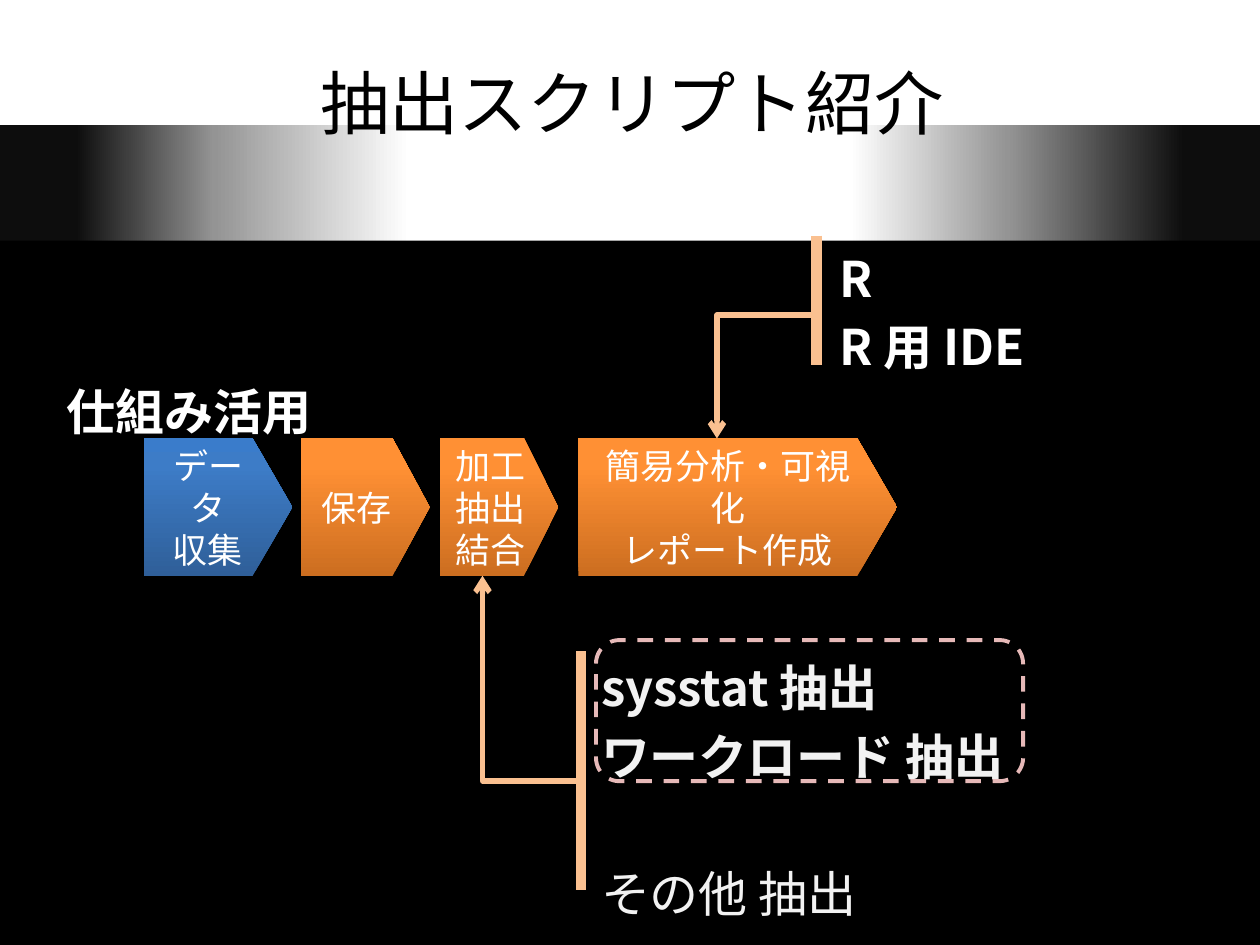
import pptx
import pptx.dml.color
import pptx.enum.dml
import pptx.enum.shapes
import pptx.enum.text
import pptx.oxml
import pptx.oxml.ns
import pptx.util

Inches = pptx.util.Inches
Pt = pptx.util.Pt
RGBColor = pptx.dml.color.RGBColor
SHAPES = pptx.enum.shapes.MSO_SHAPE
CONNECTORS = pptx.enum.shapes.MSO_CONNECTOR
ALIGN = pptx.enum.text.PP_ALIGN
ANCHOR = pptx.enum.text.MSO_ANCHOR

FONT = "Noto Sans CJK JP"
BLACK = RGBColor(0x00, 0x00, 0x00)
WHITE = RGBColor(0xFF, 0xFF, 0xFF)
PALE_GREY = RGBColor(0xF2, 0xF2, 0xF2)
MID_GREY = RGBColor(0x94, 0x94, 0x94)
DARK_GREY = RGBColor(0x0D, 0x0D, 0x0D)
PEACH = RGBColor(0xFA, 0xC0, 0x90)
PINK = RGBColor(0xE6, 0xB9, 0xB8)

# Gradient stops: (percent, colour)
BAND = [(6, DARK_GREY), (17, MID_GREY), (32.5, WHITE),
        (67.5, WHITE), (80, MID_GREY), (94, DARK_GREY)]
BLUE = [(0, RGBColor(0x2F, 0x5F, 0x99)), (80, RGBColor(0x3D, 0x7C, 0xC7)),
        (100, RGBColor(0x3A, 0x7C, 0xCB))]
ORANGE = [(0, RGBColor(0xCC, 0x6E, 0x20)), (80, RGBColor(0xFF, 0x90, 0x34)),
          (100, RGBColor(0xFF, 0x91, 0x36))]

HEADING = {"size": Pt(28), "bold": True, "color": WHITE}
STEP_TEXT = {"size": Pt(20), "color": WHITE}
LINE_GAP = Pt(5.6)
STEP_TOP, STEP_HEIGHT = 3.48, 1.09


def make_element(xml):
    namespace = pptx.oxml.ns.nsdecls("a")
    return pptx.oxml.parse_xml(xml.replace(">", f" {namespace}>", 1))


def format_paragraph(para, text, values):
    span = para.add_run()
    span.text = text
    span.font.name = FONT
    for name, value in values.items():
        if name == "color":
            span.font.color.rgb = value
        else:
            setattr(span.font, name, value)
    # East Asian glyphs take the same font
    properties = span._r.get_or_add_rPr()
    properties.append(make_element(f'<a:ea typeface="{FONT}"></a:ea>'))


def write_lines(frame, lines, values, align=ALIGN.LEFT, gap=None):
    frame.word_wrap = True
    for index, text in enumerate(lines):
        para = frame.add_paragraph() if index else frame.paragraphs[0]
        para.alignment = align
        if index and gap is not None:
            para.space_before = gap
        format_paragraph(para, text, values)


def add_text(slide, place, lines, values, inset=0.1):
    box = slide.shapes.add_textbox(*map(Inches, place))
    box.text_frame.margin_left = Inches(inset)
    write_lines(box.text_frame, lines, values, gap=LINE_GAP)
    return box


def add_plain_shape(slide, kind, place):
    shape = slide.shapes.add_shape(kind, *map(Inches, place))
    shape.shadow.inherit = False
    shape.line.fill.background()
    return shape


def fill_gradient(shape, stops, angle):
    shape.fill.gradient()
    shape.fill.gradient_angle = 0
    gradient = shape._element.spPr.find(pptx.oxml.ns.qn("a:gradFill"))
    stop_list = gradient.find(pptx.oxml.ns.qn("a:gsLst"))
    for old in list(stop_list):
        stop_list.remove(old)
    for percent, color in stops:
        stop_list.append(make_element(
            f'<a:gs pos="{int(percent * 1000)}"><a:srgbClr val="{color}"/></a:gs>'))
    gradient.find(pptx.oxml.ns.qn("a:lin")).set("ang", str(angle * 60000))


def add_step(slide, left, width, lines, stops):
    step = add_plain_shape(slide, SHAPES.PENTAGON,
                           (left, STEP_TOP, width, STEP_HEIGHT))
    step.adjustments[0] = 0.289
    fill_gradient(step, stops, 270)
    step.text_frame.vertical_anchor = ANCHOR.MIDDLE
    write_lines(step.text_frame, lines, STEP_TEXT, ALIGN.CENTER)


def add_line(slide, kind, start, end, weight):
    line = slide.shapes.add_connector(kind, *map(Inches, start + end))
    line.line.color.rgb = PEACH
    line.line.width = Pt(weight)
    line._element.spPr.append(make_element("<a:effectLst></a:effectLst>"))
    return line


def add_elbow_arrow(slide, start, end):
    arrow = add_line(slide, CONNECTORS.ELBOW, start, end, 3)
    # One bend: across first, then up or down
    geometry = arrow._element.spPr.find(pptx.oxml.ns.qn("a:prstGeom"))
    geometry.set("prst", "bentConnector2")
    arrow.line._get_or_add_ln().append(
        make_element('<a:tailEnd type="arrow"></a:tailEnd>'))


def add_background(slide):
    band = add_plain_shape(slide, SHAPES.RECTANGLE, (0, 0.99, 10, 0.96))
    fill_gradient(band, BAND, 0)
    floor = add_plain_shape(slide, SHAPES.RECTANGLE, (0, 1.91, 10, 5.59))
    floor.fill.solid()
    floor.fill.fore_color.rgb = BLACK


def add_title(slide, text):
    title = slide.shapes.title
    place = {"left": 1.59, "top": 0.46, "width": 6.85, "height": 0.69}
    for name, value in place.items():
        setattr(title, name, Inches(value))
    title.text_frame.vertical_anchor = ANCHOR.MIDDLE
    write_lines(title.text_frame, [text], {"size": Pt(39.6), "color": BLACK},
                ALIGN.CENTER)
    # Bring the title in front of the background
    slide.shapes._spTree.append(title._element)


def main():
    deck = pptx.Presentation()
    deck.slide_width, deck.slide_height = Inches(10), Inches(7.5)
    slide = deck.slides.add_slide(deck.slide_layouts[5])

    add_background(slide)
    add_title(slide, "抽出スクリプト紹介")

    # Extraction targets
    targets = add_text(slide, (4.59, 5.17, 3.72, 2.13),
                       ["sysstat 抽出", "ワークロード 抽出", "その他 抽出"],
                       {**HEADING, "color": PALE_GREY}, inset=0.18)
    other = targets.text_frame.paragraphs[-1]
    other.space_before = Pt(44.8)
    other.runs[0].font.bold = False

    # Process steps
    add_text(slide, (0.43, 2.98, 4.18, 0.43), ["仕組み活用"], HEADING)
    add_step(slide, 1.14, 1.18, ["データ", "収集"], BLUE)
    add_step(slide, 2.39, 1.02, ["保存"], ORANGE)
    add_step(slide, 3.49, 0.94, ["加工", "抽出", "結合"], ORANGE)
    add_step(slide, 4.59, 2.53, ["簡易分析・可視化", "レポート作成"], ORANGE)

    # Bars and arrows from the notes to the steps
    add_elbow_arrow(slide, (4.59, 6.2), (3.83, STEP_TOP + STEP_HEIGHT))
    add_line(slide, CONNECTORS.STRAIGHT, (4.61, 5.17), (4.61, 7.06), 6)
    add_elbow_arrow(slide, (6.48, 2.5), (5.69, STEP_TOP))
    add_text(slide, (6.48, 1.92, 2.45, 1.2), ["R", "R 用 IDE"], HEADING, inset=0.18)
    add_line(slide, CONNECTORS.STRAIGHT, (6.48, 1.87), (6.48, 2.9), 6)

    # Dashed frame around the main targets
    frame = add_plain_shape(slide, SHAPES.ROUNDED_RECTANGLE, (4.73, 5.08, 3.39, 1.12))
    frame.fill.background()
    frame.line.color.rgb = PINK
    frame.line.width = Pt(2.25)
    frame.line.dash_style = pptx.enum.dml.MSO_LINE.DASH

    deck.save("out.pptx")


if __name__ == "__main__":
    main()
